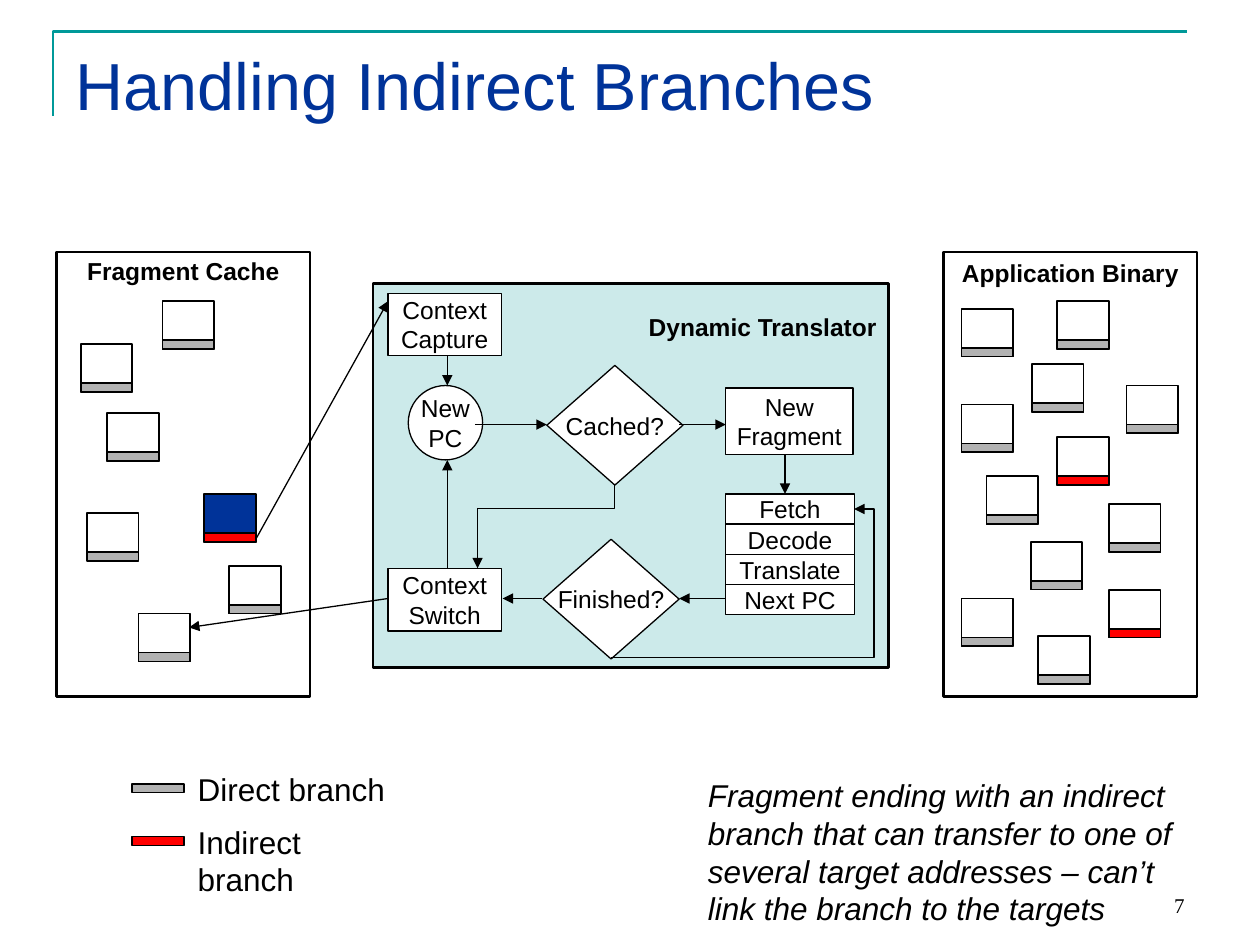
from dataclasses import dataclass

from lxml.etree import SubElement
from pptx import Presentation
from pptx.dml.color import RGBColor
from pptx.enum.shapes import MSO_CONNECTOR, MSO_SHAPE
from pptx.enum.text import MSO_ANCHOR, PP_ALIGN
from pptx.oxml.ns import qn
from pptx.util import Inches, Pt


@dataclass(frozen=True)
class Theme:
    teal: str = "009999"
    navy: str = "003399"
    white: str = "FFFFFF"
    black: str = "000000"
    direct: str = "B2B2B2"
    indirect: str = "FF0000"
    font: str = "Arial"
    number_font: str = "Times New Roman"
    title: int = 38
    body: int = 18
    label: int = 14
    number: int = 12
    frame: float = 1.5
    block: float = 1
    thin: float = 0.75


THEME = Theme()
BLOCK_W, BLOCK_H, BRANCH_H = 0.41, 0.38, 0.07

# Block positions are offsets from the top left corner of their panel.
CACHE_BLOCKS = [(0.24, 2.07), (0.84, 0.39), (1.37, 2.49), (0.4, 1.28), (0.65, 2.87), (0.19, 0.73)]
HOT_BLOCK = (1.17, 1.92)
BINARY_BLOCKS = [(0.14, 0.45), (0.7, 0.89), (0.9, 0.39), (1.45, 1.06), (0.69, 2.3), (0.34, 1.78),
                 (1.31, 2), (0.14, 2.75), (0.75, 3.05), (0.14, 1.21)]
BINARY_INDIRECT = [(0.9, 1.47), (1.31, 2.68)]


def write(frame, text, size, color=THEME.black, font=THEME.font, align=PP_ALIGN.LEFT,
          anchor=MSO_ANCHOR.TOP, wrap=True, bold=False, italic=False):
    frame.text = text
    frame.word_wrap = wrap
    frame.vertical_anchor = anchor
    for paragraph in frame.paragraphs:
        paragraph.alignment = align
        for run in paragraph.runs:
            run.font.size = Pt(size)
            run.font.name = font
            run.font.bold = bold
            run.font.italic = italic
            run.font.color.rgb = RGBColor.from_string(color)


def add_text(slide, box, text, size, **style):
    frame = slide.shapes.add_textbox(*map(Inches, box)).text_frame
    write(frame, text, size, **style)


def add_box(slide, box, fill, weight, kind=MSO_SHAPE.RECTANGLE):
    shape = slide.shapes.add_shape(kind, *map(Inches, box))
    shape.shadow.inherit = False
    shape.fill.solid()
    shape.fill.fore_color.rgb = RGBColor.from_string(fill)
    shape.line.color.rgb = RGBColor.from_string(THEME.black)
    shape.line.width = Pt(weight)
    return shape


def add_step(slide, box, text, kind=MSO_SHAPE.RECTANGLE):
    step = add_box(slide, box, THEME.white, THEME.thin, kind)
    write(step.text_frame, text, THEME.label, align=PP_ALIGN.CENTER,
          anchor=MSO_ANCHOR.MIDDLE, wrap=False)


def add_link(slide, start, end, kind=MSO_CONNECTOR.STRAIGHT, arrow=True):
    link = slide.shapes.add_connector(kind, *map(Inches, start + end))
    link.line.color.rgb = RGBColor.from_string(THEME.black)
    link.line.width = Pt(THEME.thin)
    properties = link._element.spPr
    if arrow:
        SubElement(properties.find(qn("a:ln")), qn("a:tailEnd"), type="triangle")
    SubElement(properties, qn("a:effectLst"))
    return properties


def add_block(slide, left, top, branch, fill=THEME.white):
    """Draw a code block whose bottom strip shows the kind of its final branch."""
    add_box(slide, (left, top, BLOCK_W, BLOCK_H), fill, THEME.block)
    add_box(slide, (left, top + BLOCK_H - BRANCH_H, BLOCK_W, BRANCH_H), branch, THEME.block)


def add_title(slide, left, top, width, height):
    corner = slide.shapes.build_freeform(Inches(left - 0.08), Inches(top + 0.62))
    corner.add_line_segments([(Inches(left - 0.08), Inches(top - 0.05)),
                              (Inches(left + width - 0.08), Inches(top - 0.05))], close=False)
    rule = corner.convert_to_shape()
    rule.shadow.inherit = False
    rule.fill.background()
    rule.line.color.rgb = RGBColor.from_string(THEME.teal)
    rule.line.width = Pt(THEME.frame)

    title = slide.shapes.title
    title.left, title.top, title.width, title.height = map(Inches, (left, top, width, height))
    write(title.text_frame, "Handling Indirect Branches", THEME.title, color=THEME.navy)


def add_translator(slide, left, top, width, height):
    def at(x, y):
        return left + x, top + y

    panel = add_box(slide, (left, top, width, height), THEME.teal, THEME.frame)
    tint = panel._element.spPr.find(qn("a:solidFill")).find(qn("a:srgbClr"))
    SubElement(tint, qn("a:alpha"), val="20000")
    add_text(slide, (*at(2.09, 0.18), 2.01, 0.34), "Dynamic Translator", THEME.label, bold=True)

    add_step(slide, (*at(0.12, 0.08), 0.9, 0.49), "Context\nCapture")
    add_step(slide, (*at(0.12, 2.26), 0.9, 0.5), "Context\nSwitch")
    add_step(slide, (*at(2.8, 0.83), 1.01, 0.53), "New\nFragment")
    for row, stage in enumerate(["Fetch", "Decode", "Translate", "Next PC"]):
        add_step(slide, (*at(2.8, 1.67 + 0.24 * row), 1.02, 0.24), stage)
    add_step(slide, (*at(1.35, 2.03), 1.08, 0.95), "Finished?", MSO_SHAPE.FLOWCHART_DECISION)
    add_step(slide, (*at(1.38, 0.65), 1.08, 0.95), "Cached?", MSO_SHAPE.FLOWCHART_DECISION)
    add_step(slide, (*at(0.28, 0.81), 0.59, 0.59), "New\nPC", MSO_SHAPE.OVAL)

    for start, end in [
        ((0.59, 0.57), (0.59, 0.81)),  # capture to new PC
        ((0.81, 1.12), (1.38, 1.12)),  # new PC to cached
        ((2.43, 1.12), (2.8, 1.12)),   # cached to new fragment
        ((3.27, 1.36), (3.27, 1.67)),  # new fragment to fetch
        ((2.8, 2.5), (2.43, 2.5)),     # next PC to finished
        ((1.34, 2.5), (1.03, 2.5)),    # finished to switch
        ((0.59, 2.26), (0.59, 1.4)),   # switch to new PC
        ((0.83, 1.78), (0.83, 2.26)),  # cached to switch
    ]:
        add_link(slide, at(*start), at(*end))

    # Unfinished fragments loop round the right side, back to fetch.
    loop = add_link(slide, at(1.89, 2.97), at(3.82, 1.79), MSO_CONNECTOR.ELBOW)
    guides = loop.find(qn("a:prstGeom")).find(qn("a:avLst"))
    SubElement(guides, qn("a:gd"), name="adj1", fmla="val 108200")

    # A quarter turn makes this elbow leave the decision downwards, then run left.
    hit = add_link(slide, at(1.28, 1.15), at(1.47, 2.23), MSO_CONNECTOR.ELBOW, arrow=False)
    hit.find(qn("a:xfrm")).set("rot", "5400000")
    hit.find(qn("a:prstGeom")).set("prst", "bentConnector2")


def add_panel(slide, left, top, width, height, heading, heading_top, direct, indirect=()):
    add_box(slide, (left, top, width, height), THEME.white, THEME.frame)
    add_text(slide, (left, heading_top, width, 0.34), heading, THEME.label,
             align=PP_ALIGN.CENTER, bold=True)
    for branch, offsets in ((THEME.direct, direct), (THEME.indirect, indirect)):
        for x, y in offsets:
            add_block(slide, left + x, top + y, branch)


def add_legend(slide, left, top):
    entries = [("Direct branch", THEME.direct), ("Indirect branch", THEME.indirect)]
    for row, (meaning, color) in enumerate(entries):
        y = top + 0.42 * row
        add_box(slide, (left, y + 0.16, BLOCK_W, BRANCH_H), color, THEME.block)
        add_text(slide, (left + 0.42, y, 1.85, 0.4), meaning, THEME.body, wrap=False)


def main():
    deck = Presentation()
    deck.slide_width, deck.slide_height = Inches(10), Inches(7.5)
    slide = deck.slides.add_slide(deck.slide_layouts[5])

    add_title(slide, 0.5, 0.3, 9, 1.25)
    add_translator(slide, 2.96, 2.25, 4.09, 3.05)
    cache_left, panel_top = 0.45, 2
    add_panel(slide, cache_left, panel_top, 2.01, 3.53, "Fragment Cache", 1.98, CACHE_BLOCKS)
    add_block(slide, cache_left + HOT_BLOCK[0], panel_top + HOT_BLOCK[1],
              THEME.indirect, THEME.navy)
    add_panel(slide, 7.49, panel_top, 2.01, 3.53, "Application Binary", 2,
              BINARY_BLOCKS, BINARY_INDIRECT)
    add_link(slide, (2.03, 4.28), (3.08, 2.39))
    add_link(slide, (3.08, 4.75), (1.5, 4.98))
    add_legend(slide, 1.05, 6.06)
    add_text(slide, (5.52, 6.11, 3.88, 1.3),
             "Fragment ending with an indirect\nbranch that can transfer to one of\n"
             "several target addresses – can’t\nlink the branch to the targets",
             THEME.body, wrap=False, italic=True)
    add_text(slide, (7.17, 6.83, 2.33, 0.5), "7", THEME.number, font=THEME.number_font,
             align=PP_ALIGN.RIGHT, anchor=MSO_ANCHOR.BOTTOM)
    deck.save("out.pptx")


if __name__ == "__main__":
    main()
